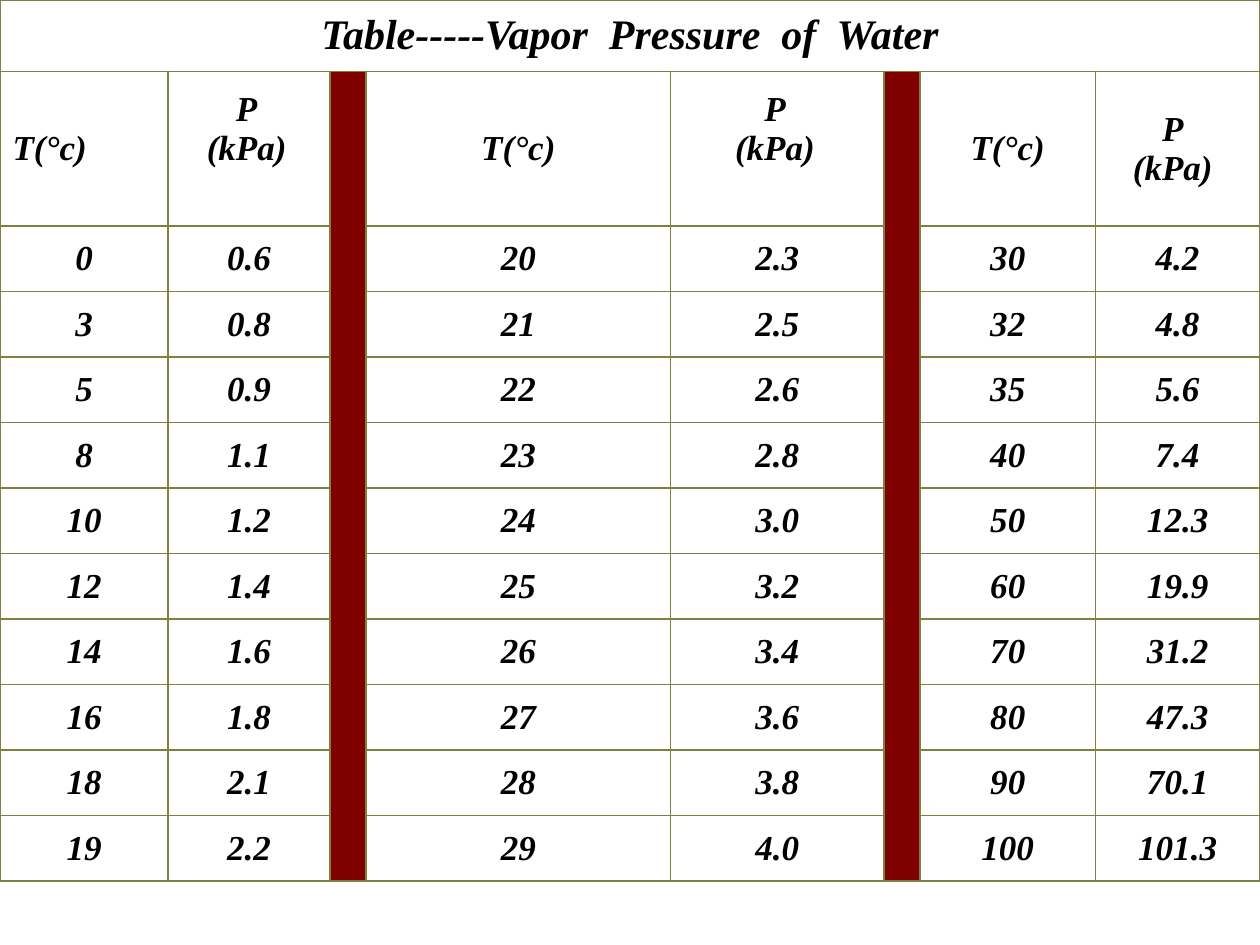
from lxml.etree import SubElement
from pptx import Presentation
from pptx.dml.color import RGBColor
from pptx.enum.text import MSO_ANCHOR as Anchor, PP_ALIGN as Align
from pptx.oxml.ns import qn
from pptx.util import Cm, Pt

BLACK = RGBColor(0x00, 0x00, 0x00)
MAROON = RGBColor(0x80, 0x00, 0x00)
OLIVE = RGBColor(0x80, 0x80, 0x40)
FONT = "Times New Roman"

TITLE = "Table-----Vapor  Pressure  of  Water"
COLUMN_WIDTHS = [3.39, 3.26, 0.73, 6.14, 4.3, 0.73, 3.53, 3.32]
TITLE_HEIGHT, HEADER_HEIGHT, ROW_HEIGHT = 1.44, 3.12, 1.32
DIVIDERS = [2, 5]
PAIR_STARTS = [0, 3, 6]
TEMPERATURE = ["T(°c)"]
PRESSURE = ["P", "(kPa)"]
READINGS = [
    [("0", "0.6"), ("3", "0.8"), ("5", "0.9"), ("8", "1.1"), ("10", "1.2"),
     ("12", "1.4"), ("14", "1.6"), ("16", "1.8"), ("18", "2.1"), ("19", "2.2")],
    [("20", "2.3"), ("21", "2.5"), ("22", "2.6"), ("23", "2.8"), ("24", "3.0"),
     ("25", "3.2"), ("26", "3.4"), ("27", "3.6"), ("28", "3.8"), ("29", "4.0")],
    [("30", "4.2"), ("32", "4.8"), ("35", "5.6"), ("40", "7.4"), ("50", "12.3"),
     ("60", "19.9"), ("70", "31.2"), ("80", "47.3"), ("90", "70.1"), ("100", "101.3")],
]


def add_borders(cell):
    properties = cell._tc.get_or_add_tcPr()
    for side in ("a:lnL", "a:lnR", "a:lnT", "a:lnB"):
        line = SubElement(properties, qn(side), w=str(Pt(1)))
        fill = SubElement(line, qn("a:solidFill"))
        SubElement(fill, qn("a:srgbClr"), val=str(OLIVE))


def write_cell(cell, lines, size=20, align=Align.CENTER):
    cell.vertical_anchor = Anchor.MIDDLE
    frame = cell.text_frame
    for index, text in enumerate(lines):
        para = frame.add_paragraph() if index else frame.paragraphs[0]
        para.alignment = align
        span = para.add_run()
        span.text = text
        span.font.name = FONT
        span.font.size = Pt(size)
        span.font.bold = True
        span.font.italic = True
        span.font.color.rgb = BLACK


def add_grid(page):
    heights = [TITLE_HEIGHT, HEADER_HEIGHT] + [ROW_HEIGHT] * len(READINGS[0])
    frame = page.shapes.add_table(
        len(heights), len(COLUMN_WIDTHS), Cm(0), Cm(0),
        Cm(sum(COLUMN_WIDTHS)), Cm(sum(heights)))
    table = frame.table
    table.first_row = False
    table.horz_banding = False
    for column, width in zip(table.columns, COLUMN_WIDTHS):
        column.width = Cm(width)
    for row, height in zip(table.rows, heights):
        row.height = Cm(height)
    for cell in table.iter_cells():
        add_borders(cell)
        cell.fill.background()
    return table


def add_dividers(table):
    last_row = len(table.rows) - 1
    for column in DIVIDERS:
        top = table.cell(1, column)
        top.merge(table.cell(last_row, column))
        top.fill.solid()
        top.fill.fore_color.rgb = MAROON


def fill_title(table):
    title = table.cell(0, 0)
    title.merge(table.cell(0, len(COLUMN_WIDTHS) - 1))
    write_cell(title, [TITLE], size=24)


def fill_headers(table):
    for start in PAIR_STARTS:
        align = Align.CENTER if start else Align.LEFT
        write_cell(table.cell(1, start), TEMPERATURE, align=align)
        pressure = table.cell(1, start + 1)
        write_cell(pressure, PRESSURE)
        if start == PAIR_STARTS[-1]:
            pressure.margin_right = Cm(0.45)
        else:
            pressure.margin_right = Cm(0.35)
            pressure.margin_bottom = Cm(0.93)


def fill_readings(table):
    for start, readings in zip(PAIR_STARTS, READINGS):
        for row, pair in enumerate(readings, start=2):
            for offset, value in enumerate(pair):
                write_cell(table.cell(row, start + offset), [value])


def main():
    deck = Presentation()
    deck.slide_width = Cm(25.4)
    deck.slide_height = Cm(19.05)
    page = deck.slides.add_slide(deck.slide_layouts[6])
    table = add_grid(page)
    add_dividers(table)
    fill_title(table)
    fill_headers(table)
    fill_readings(table)
    deck.save("out.pptx")


if __name__ == "__main__":
    main()
